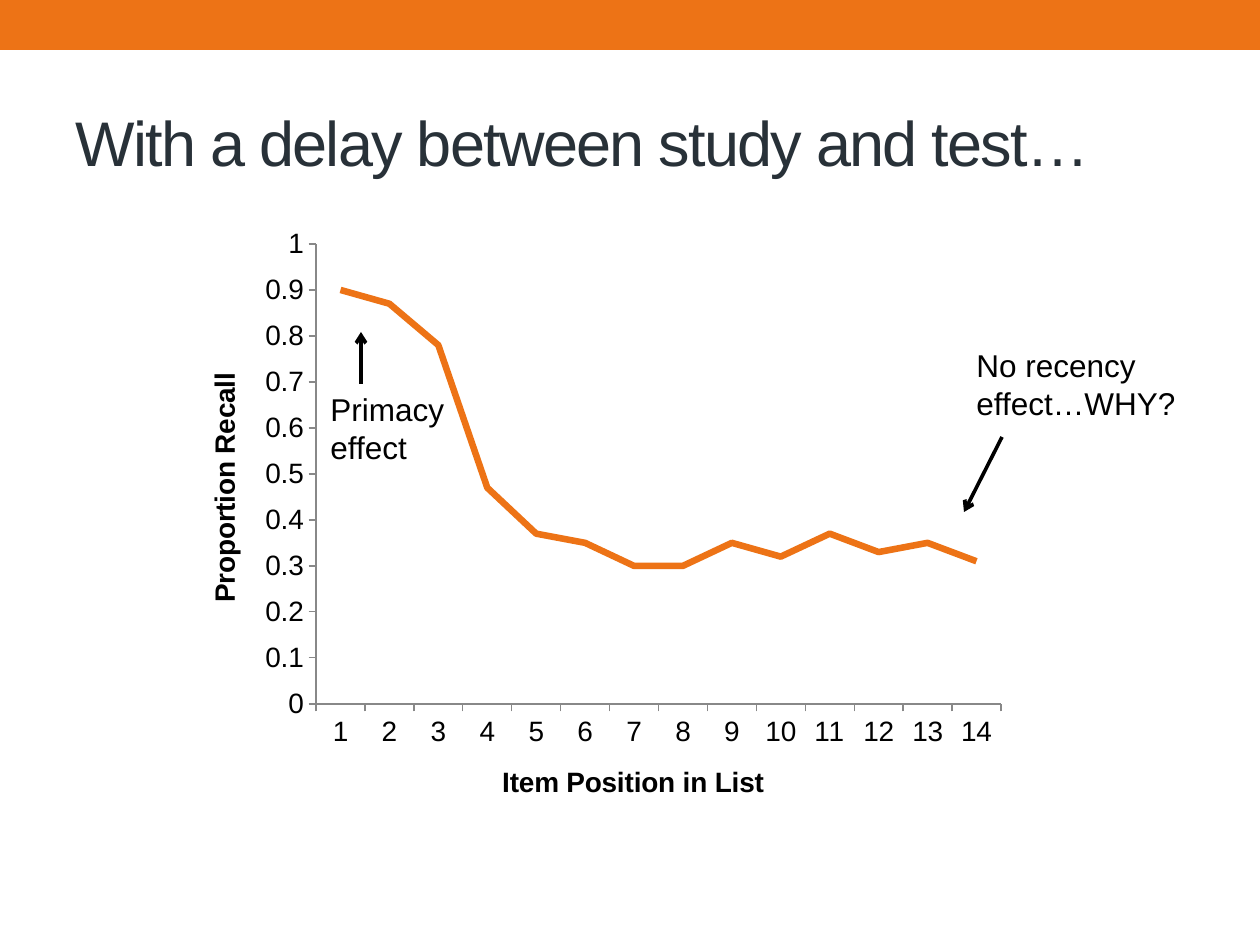
from dataclasses import dataclass
from lxml.etree import SubElement
from pptx import Presentation
from pptx.chart.data import CategoryChartData
from pptx.dml.color import RGBColor
from pptx.enum.chart import XL_CHART_TYPE, XL_TICK_MARK
from pptx.enum.shapes import MSO_CONNECTOR, MSO_SHAPE
from pptx.enum.text import MSO_ANCHOR, MSO_AUTO_SIZE, PP_ALIGN
from pptx.oxml import parse_xml
from pptx.oxml.ns import nsdecls, qn
from pptx.util import Pt


@dataclass(frozen=True)
class Theme:
    font: str = "Arial"
    accent: RGBColor = RGBColor(0xED, 0x73, 0x16)
    title: RGBColor = RGBColor(0x28, 0x31, 0x38)
    ink: RGBColor = RGBColor(0, 0, 0)
    axis: RGBColor = RGBColor(0x88, 0x88, 0x88)
    head: int = 36
    note: int = 18
    label: int = 16


THEME = Theme()
WIDE, HIGH = 1260, 945
RECALL = (0.9, 0.87, 0.78, 0.47, 0.37, 0.35, 0.3,
          0.3, 0.35, 0.32, 0.37, 0.33, 0.35, 0.31)


def px(num):
    return round(num * 914400 / 126)


def emu(box):
    return [px(num) for num in box]


def style(font, size, color, bold=False):
    font.name = THEME.font
    font.size = Pt(size)
    font.bold = bold
    font.color.rgb = color


def add_band(slide, box):
    band = slide.shapes.add_shape(MSO_SHAPE.RECTANGLE, *emu(box))
    band.shadow.inherit = False
    band.fill.solid()
    band.fill.fore_color.rgb = THEME.accent
    band.line.fill.background()


def add_title(slide, box, text):
    title = slide.shapes.title
    title.left, title.top, title.width, title.height = emu(box)
    frame = title.text_frame
    frame.text = text
    frame.auto_size = MSO_AUTO_SIZE.NONE
    frame.vertical_anchor = MSO_ANCHOR.MIDDLE
    line = frame.paragraphs[0]
    line.alignment = PP_ALIGN.LEFT
    run = line.runs[0]
    style(run.font, THEME.head, THEME.title)
    run.font._element.set("spc", "-100")


def set_plot(chart, box, inner):
    area = chart._chartSpace.find(".//" + qn("c:plotArea"))
    for old in area.findall(qn("c:layout")):
        area.remove(old)
    left, top, wide, high = box
    parts = {"x": inner[0] / wide, "y": inner[1] / high,
             "w": inner[2] / wide, "h": inner[3] / high}
    marks = '<c:layoutTarget val="inner"/>'
    marks += "".join(f'<c:{key}Mode val="edge"/>' for key in "xy")
    marks += "".join(f'<c:{key} val="{val:.4f}"/>' for key, val in parts.items())
    area.insert(0, parse_xml(
        f'<c:layout {nsdecls("c")}><c:manualLayout>{marks}</c:manualLayout></c:layout>'))


def set_axis(axis, text):
    axis.has_major_gridlines = False
    axis.major_tick_mark = XL_TICK_MARK.OUTSIDE
    axis.minor_tick_mark = XL_TICK_MARK.NONE
    axis.format.line.color.rgb = THEME.axis
    axis.format.line.width = Pt(0.75)
    style(axis.tick_labels.font, THEME.label, THEME.ink)
    frame = axis.axis_title.text_frame
    frame.text = text
    style(frame.paragraphs[0].runs[0].font, THEME.label, THEME.ink, True)


def add_graph(slide, box):
    data = CategoryChartData()
    data.categories = [str(num + 1) for num in range(len(RECALL))]
    data.add_series("Series 1", RECALL)
    chart = slide.shapes.add_chart(XL_CHART_TYPE.LINE, *emu(box), data).chart
    chart.has_legend = False
    chart.has_title = False
    style(chart.font, THEME.label, THEME.ink)
    set_plot(chart, box, (136, 26, 685, 460))
    set_axis(chart.category_axis, "Item Position in List")
    axis = chart.value_axis
    set_axis(axis, "Proportion Recall")
    axis.minimum_scale, axis.maximum_scale, axis.major_unit = 0, 1, 0.1
    axis.tick_labels.number_format = "General"
    axis.tick_labels.number_format_is_linked = False
    plot = chart.plots[0]
    plot.vary_by_categories = False
    curve = plot.series[0]
    curve.smooth = False
    curve.format.line.color.rgb = THEME.accent
    curve.format.line.width = Pt(3.75)


def add_arrow(slide, start, end):
    arrow = slide.shapes.add_connector(
        MSO_CONNECTOR.STRAIGHT, *emu(start), *emu(end))
    arrow.line.color.rgb = THEME.ink
    arrow.line.width = Pt(2.08)
    SubElement(arrow.line._get_or_add_ln(), qn("a:tailEnd"), type="arrow")
    SubElement(arrow._element.spPr, qn("a:effectLst"))


def add_note(slide, box, text, start, end):
    left, top = box[:2]
    add_arrow(slide, (left + start[0], top + start[1]),
              (left + end[0], top + end[1]))
    frame = slide.shapes.add_textbox(*emu(box)).text_frame
    frame.word_wrap = True
    frame.auto_size = MSO_AUTO_SIZE.SHAPE_TO_FIT_TEXT
    frame.text = text
    for line in frame.paragraphs:
        style(line.runs[0].font, THEME.note, THEME.ink)


def main():
    deck = Presentation()
    deck.slide_width, deck.slide_height = px(WIDE), px(HIGH)
    slide = deck.slides.add_slide(deck.slide_layouts[5])
    add_band(slide, (0, 0, WIDE, 50))
    add_title(slide, (63, 73, 1134, 136), "With a delay between study and test…")
    add_graph(slide, (180, 218, 838, 605))
    add_note(slide, (318, 384, 147, 89), "Primacy\neffect", (43, 0), (43, -52))
    add_note(slide, (964, 340, 233, 89), "No recency effect…WHY?", (38, 97), (0, 172))
    deck.save("out.pptx")


if __name__ == "__main__":
    main()
